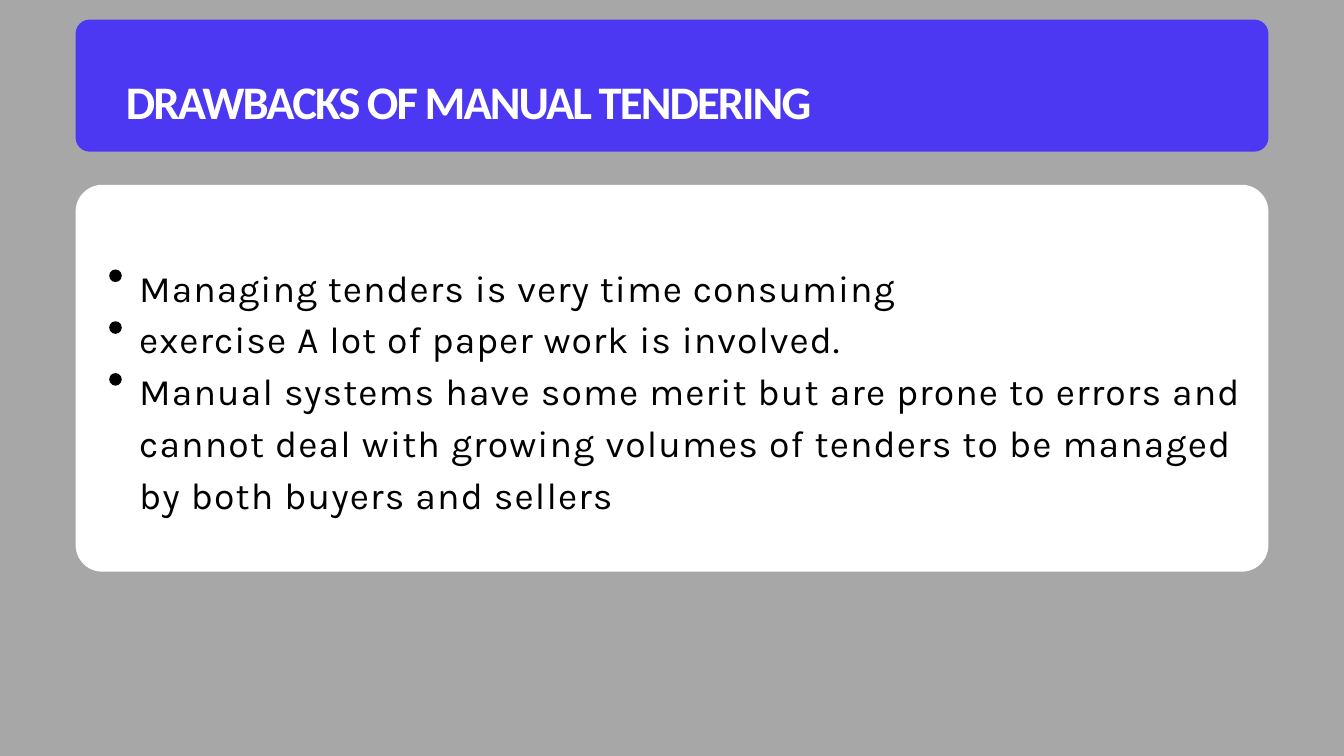
import pptx
import pptx.dml.color
import pptx.enum.shapes
import pptx.enum.text
import pptx.oxml
import pptx.oxml.ns
import pptx.util

Pt = pptx.util.Pt
SHAPES = pptx.enum.shapes.MSO_SHAPE
COLORS = {
    "backdrop": "A7A7A7",
    "banner": "4C37F2",
    "card": "FFFFFF",
    "title": "FFFFFF",
    "body": "000000",
}
HEADING = "DRAWBACKS OF MANUAL TENDERING"
DRAWBACKS = [
    (["Managing tenders is very time consuming ",
      "exercise A lot of paper work is involved."], 1.1),
    (["Manual systems have some merit but are prone to errors and cannot "
      "deal with growing volumes of tenders to be managed by both buyers "
      "and sellers"], 1.25),
]


def paint(fill, color):
    """Fill with a solid colour from the palette."""
    fill.solid()
    fill.fore_color.rgb = pptx.dml.color.RGBColor.from_string(COLORS[color])


def add_block(slide, preset, box, color, radius=None):
    """Add a plain filled shape, rounded by radius when one is given."""
    block = slide.shapes.add_shape(preset, *map(Pt, box))
    block.shadow.inherit = False
    paint(block.fill, color)
    block.line.fill.background()
    if radius is not None:
        block.adjustments[0] = radius / min(box[2:])


def place_text(placeholder, box, top_inset):
    """Move a placeholder in front of the blocks and return its text frame."""
    placeholder.left, placeholder.top, placeholder.width, placeholder.height = map(Pt, box)
    placeholder.element.getparent().append(placeholder.element)
    frame = placeholder.text_frame
    frame.margin_left = frame.margin_right = frame.margin_bottom = 0
    frame.margin_top = Pt(top_inset)
    frame.word_wrap = True
    frame.vertical_anchor = pptx.enum.text.MSO_ANCHOR.TOP
    frame.auto_size = pptx.enum.text.MSO_AUTO_SIZE.SHAPE_TO_FIT_TEXT
    return frame


def format_paragraph(paragraph, indent, line_spacing):
    """Set a left-aligned paragraph without a bullet."""
    properties = paragraph._p.get_or_add_pPr()
    properties.set("marL", str(Pt(indent)))
    properties.set("indent", "0")
    properties.append(pptx.oxml.parse_xml(
        f"<a:buNone {pptx.oxml.ns.nsdecls('a')}/>"))
    paragraph.alignment = pptx.enum.text.PP_ALIGN.LEFT
    paragraph.line_spacing = line_spacing
    paragraph.space_before = Pt(0)


def add_run(paragraph, text, face, size, color, tracking, bold=False):
    """Add a run with its font and letter spacing."""
    run = paragraph.add_run()
    run.text = text
    run.font.name = face
    run.font.size = Pt(size)
    run.font.bold = bold
    paint(run.font.fill, color)
    run.font._element.set("spc", str(round(tracking * 100)))


def add_heading(slide):
    """Write the title on its banner."""
    frame = place_text(slide.shapes.title, (134, 45.5, 1171.5, 116.5), 32.5)
    heading = frame.paragraphs[0]
    format_paragraph(heading, 1, 1.0)
    add_run(heading, HEADING, "Calibri", 50, "title", -2.1, bold=True)


def add_drawbacks(slide):
    """Write the drawbacks on the card."""
    frame = place_text(slide.placeholders[1], (88, 233.5, 1264, 486), 42.5)
    for number, (lines, tracking) in enumerate(DRAWBACKS):
        drawback = frame.add_paragraph() if number else frame.paragraphs[0]
        format_paragraph(drawback, 61.2, 1.16)
        for line_number, line in enumerate(lines):
            if line_number:
                drawback.add_line_break()
            add_run(drawback, line, "Karla", 40, "body", tracking)


def main():
    """Build and save the slide."""
    deck = pptx.Presentation()
    deck.slide_width, deck.slide_height = Pt(1440), Pt(810)
    slide = deck.slides.add_slide(deck.slide_layouts[1])
    paint(slide.background.fill, "backdrop")
    add_block(slide, SHAPES.ROUNDED_RECTANGLE, (81, 198, 1278, 414.5), "card", 28.5)
    add_block(slide, SHAPES.ROUNDED_RECTANGLE, (81, 21, 1278, 141.5), "banner", 15)
    add_heading(slide)
    for row in range(3):
        add_block(slide, SHAPES.OVAL, (117, 288.75 + row * 55.5, 13.5, 13.5), "body")
    add_drawbacks(slide)
    deck.save("out.pptx")


if __name__ == "__main__":
    main()
